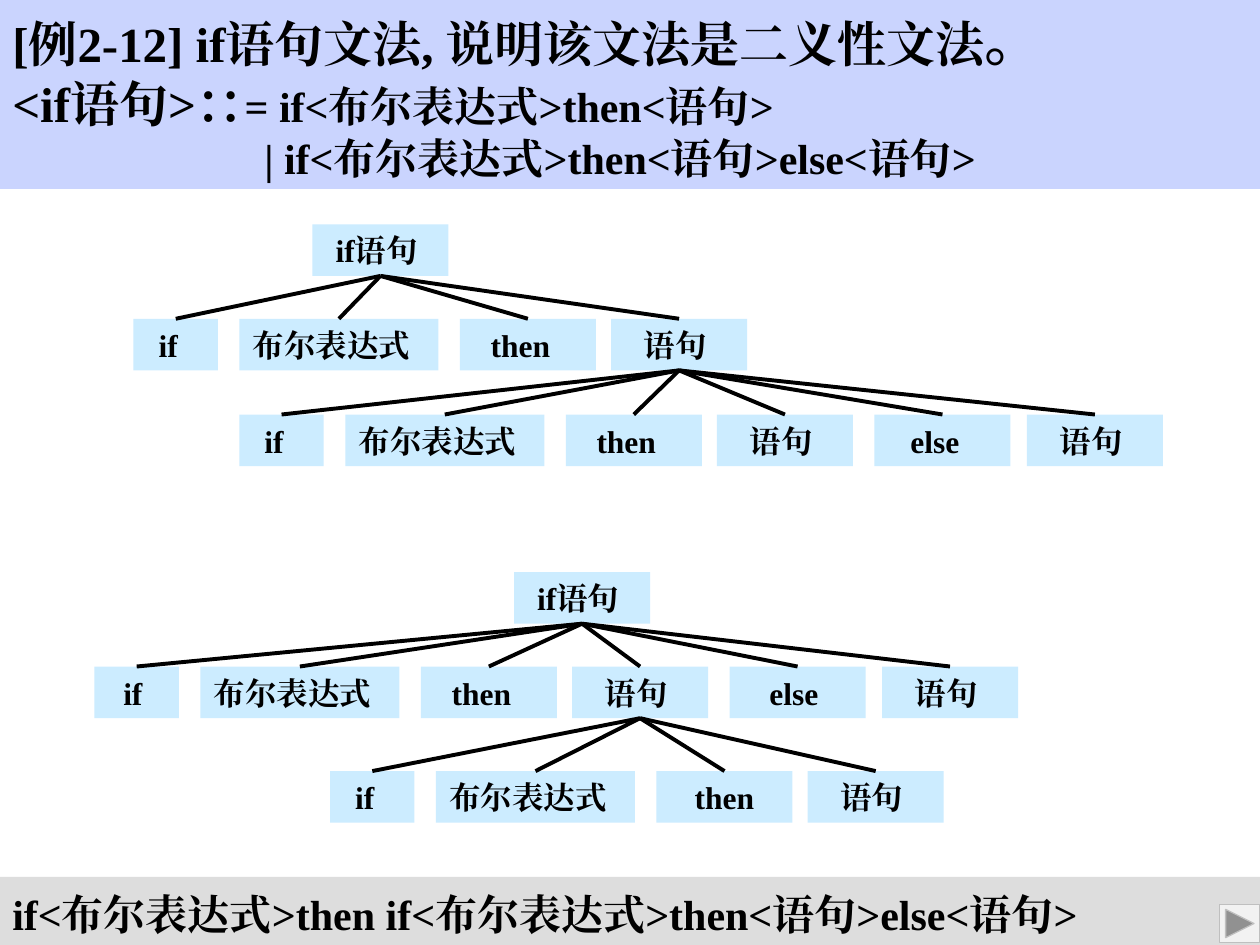
from lxml.etree import SubElement
from pptx import Presentation
from pptx.dml.color import RGBColor
from pptx.enum.shapes import MSO_CONNECTOR, MSO_SHAPE
from pptx.enum.text import MSO_ANCHOR, PP_ALIGN
from pptx.oxml.ns import qn
from pptx.util import Inches, Pt

BLACK = RGBColor(0x00, 0x00, 0x00)
LAVENDER = RGBColor(0xCA, 0xD4, 0xFE)
PALE_BLUE = RGBColor(0xCC, 0xEC, 0xFF)
GREY = RGBColor(0xDD, 0xDD, 0xDD)
BUTTON_FILL = RGBColor(0xF2, 0xF2, 0xF2)
BUTTON_LINE = RGBColor(0xBF, 0xBF, 0xBF)
SERIF, CJK = "Times New Roman", "Noto Sans CJK SC"

# Paragraphs of (text, size, font, bold) runs
GRAMMAR = [
    [("[例2-12] if语句文法, 说明该文法是二义性文法", 28, SERIF, True),
     ("。", 32, CJK, False)],
    [("<if语句>∷", 28, SERIF, True),
     ("= if<布尔表达式>then<语句>", 24, SERIF, True)],
    [("| if<布尔表达式>then<语句>else<语句>", 24, SERIF, True)],
]
SENTENCE = [[("if<布尔表达式>then if<布尔表达式>then<语句>else<语句>", 24, SERIF, True)]]
ALTERNATIVE_INDENT = 2.0

ROOT = "if语句"
SHORT_RULE = ["if", "布尔表达式", "then", "语句"]
LONG_RULE = SHORT_RULE + ["else", "语句"]
STATEMENT = 3  # position of the statement that is expanded further

# Root position, then (left, top, words, leftward text shifts) of each level
TREES = [
    {"root": (2.48, 1.78),
     "levels": [(1.06, 2.53, SHORT_RULE, [.06, .06, .06, .03]),
                (1.9, 3.29, LONG_RULE, [.06, .06, .06, .03, .06, .03])]},
    {"root": (4.08, 4.54),
     "levels": [(0.75, 5.29, LONG_RULE, [.03, .06, .06, .03, .03, .03]),
                (2.62, 6.12, SHORT_RULE, [.06, .06, 0, .03])]},
]
COLUMN_OFFSETS = [0, 0.84, 2.59, 3.79, 5.04, 6.25]
WORD_WIDTHS = {"if": 0.67, "布尔表达式": 1.58}
NODE_WIDTH, NODE_HEIGHT = 1.08, 0.41
INSET = 0.1


def add_box(shapes, left, top, width, height, fill, paragraphs, align, shift=0):
    """Add a filled rectangle whose text sits `shift` inches left of its place."""
    box = shapes.add_shape(MSO_SHAPE.RECTANGLE, Inches(left), Inches(top),
                           Inches(width), Inches(height))
    box.shadow.inherit = False
    box.fill.solid()
    box.fill.fore_color.rgb = fill
    box.line.fill.background()
    frame = box.text_frame
    frame.word_wrap = True
    frame.vertical_anchor = MSO_ANCHOR.MIDDLE
    frame.margin_left = Inches(INSET - shift)
    frame.margin_right = Inches(INSET + shift)
    for index, runs in enumerate(paragraphs):
        paragraph = frame.paragraphs[0] if index == 0 else frame.add_paragraph()
        paragraph.alignment = align
        for text, size, font, bold in runs:
            run = paragraph.add_run()
            run.text = text
            run.font.size = Pt(size)
            run.font.bold = bold
            run.font.color.rgb = BLACK
            run.font.name = font
            SubElement(run.font._element, qn("a:ea")).set("typeface", font)
    return box


def add_node(shapes, word, left, top, shift):
    return add_box(shapes, left, top, WORD_WIDTHS.get(word, NODE_WIDTH), NODE_HEIGHT,
                   PALE_BLUE, [[(word, 18, SERIF, True)]], PP_ALIGN.CENTER, shift)


def add_branch(shapes, parent, child):
    branch = shapes.add_connector(MSO_CONNECTOR.STRAIGHT, 0, 0, 0, 0)
    branch.begin_connect(parent, 2)
    branch.end_connect(child, 0)
    branch.line.color.rgb = BLACK
    branch.line.width = Pt(2.25)
    SubElement(branch._element.spPr, qn("a:effectLst"))


def add_tree(slide, tree):
    shapes = slide.shapes.add_group_shape().shapes
    parent = add_node(shapes, ROOT, *tree["root"], 0.03)
    for left, top, words, shifts in tree["levels"]:
        children = [add_node(shapes, word, left + offset, top, shift)
                    for word, offset, shift in zip(words, COLUMN_OFFSETS, shifts)]
        for child in children:
            add_branch(shapes, parent, child)
        parent = children[STATEMENT]


def main():
    presentation = Presentation()
    presentation.slide_width, presentation.slide_height = Inches(10), Inches(7.5)
    slide = presentation.slides.add_slide(presentation.slide_layouts[6])

    grammar = add_box(slide.shapes, 0, 0, 10, 1.5, LAVENDER, GRAMMAR, PP_ALIGN.JUSTIFY)
    alternative = grammar.text_frame.paragraphs[-1]._p.get_or_add_pPr()
    alternative.set("marL", str(Inches(ALTERNATIVE_INDENT)))
    alternative.set("indent", "0")

    sentence = add_box(slide.shapes, 0, 6.96, 10, 0.55, GREY, SENTENCE, PP_ALIGN.LEFT)
    sentence.text_frame.paragraphs[0].line_spacing = 1.1

    for tree in TREES:
        add_tree(slide, tree)

    button = slide.shapes.add_shape(MSO_SHAPE.ACTION_BUTTON_FORWARD_OR_NEXT,
                                    Inches(9.68), Inches(7.18), Inches(0.32), Inches(0.3))
    button.shadow.inherit = False
    button.fill.solid()
    button.fill.fore_color.rgb = BUTTON_FILL
    button.line.color.rgb = BUTTON_LINE
    button.line.width = Pt(0.75)

    presentation.save("out.pptx")


if __name__ == "__main__":
    main()
